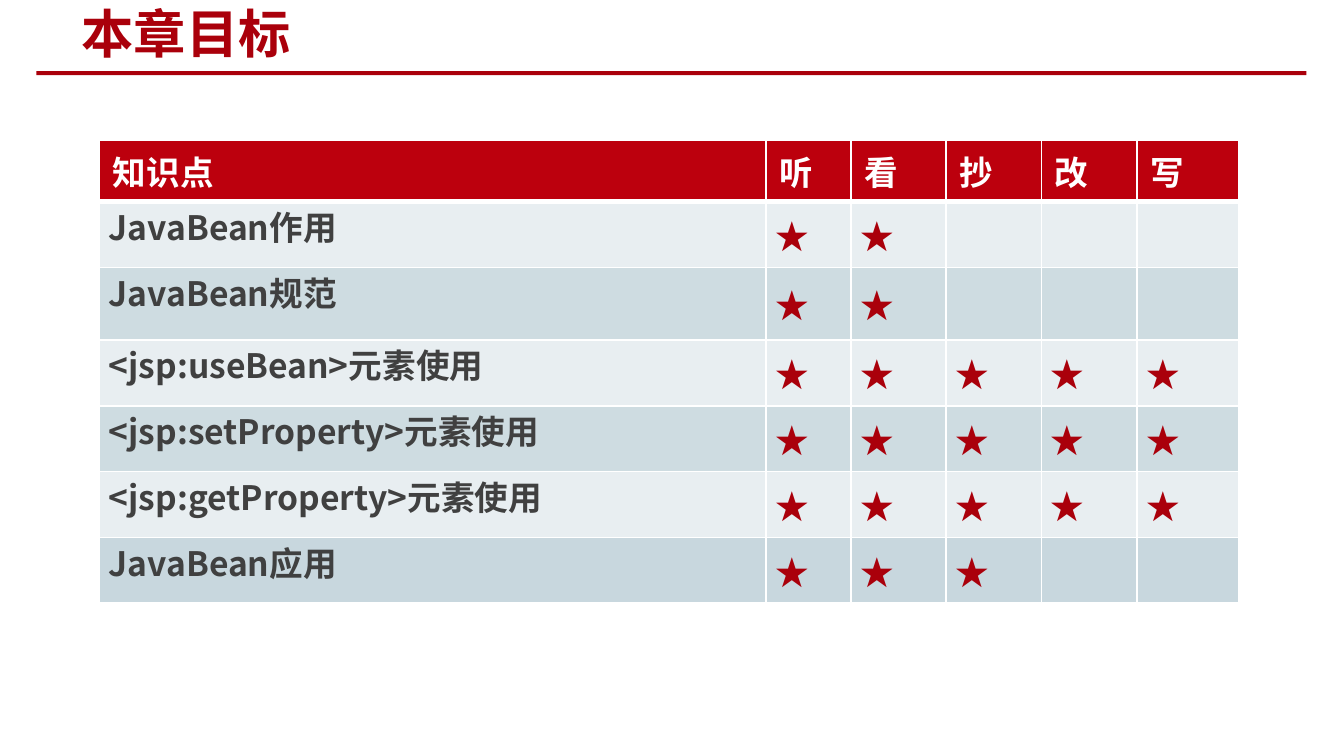
"""Build the chapter goals slide with its table of knowledge points."""
from typing import NamedTuple

from lxml.etree import SubElement
from pptx import Presentation
from pptx.dml.color import RGBColor
from pptx.enum.shapes import MSO_SHAPE
from pptx.enum.text import MSO_ANCHOR
from pptx.oxml.ns import qn
from pptx.util import Inches, Pt

SLIDE_WIDTH = 10
FONT = "Noto Sans CJK SC"
RED = "AA000B"
HEADER_RED = "BC000D"
WHITE = "FFFFFF"
DARK = "404040"
PALE = "E8EEF1"
MID = "CEDCE1"
LAST = "C8D7DE"
SKILLS = ["听", "看", "抄", "改", "写"]
COLUMN_WIDTHS = [4.96, 0.63, 0.71, 0.71, 0.71, 0.76]
HEADER_HEIGHT = 0.46
HEADER_FORMAT = {
    "margin_left": Inches(0.1),
    "margin_right": Inches(0.1),
    "margin_top": Inches(0.05),
    "margin_bottom": Inches(0.05),
}
TOPIC_FORMAT = {
    "margin_left": Inches(0.07),
    "margin_right": Inches(0.07),
    "margin_top": 0,
    "margin_bottom": 0,
}
STAR_FORMAT = {**TOPIC_FORMAT, "vertical_anchor": MSO_ANCHOR.MIDDLE}


class Topic(NamedTuple):
    title: str
    stars: int
    background: str
    height: float = 0.49


TOPICS = [
    Topic("JavaBean作用", 2, PALE),
    Topic("JavaBean规范", 2, MID, 0.54),
    Topic("<jsp:useBean>元素使用", 5, PALE),
    Topic("<jsp:setProperty>元素使用", 5, MID),
    Topic("<jsp:getProperty>元素使用", 5, PALE),
    Topic("JavaBean应用", 3, LAST),
]


def paint(color_format, color: str) -> None:
    color_format.rgb = RGBColor.from_string(color)


def fill_solid(fill, color: str) -> None:
    fill.solid()
    paint(fill.fore_color, color)


def apply_format(target, values: dict) -> None:
    for attribute, value in values.items():
        setattr(target, attribute, value)


def write(frame, text: str, size: float, color: str) -> None:
    run = frame.paragraphs[0].add_run()
    run.text = text
    apply_format(run.font, {"name": FONT, "size": Pt(size), "bold": True})
    paint(run.font.color, color)
    SubElement(run.font._element, qn("a:ea"), typeface=FONT)


def draw_borders(cell, top: float, bottom: float) -> None:
    properties = cell._tc.get_or_add_tcPr()
    for side, width in {"L": 1, "R": 1, "T": top, "B": bottom}.items():
        border = SubElement(properties, qn(f"a:ln{side}"), w=str(Pt(width)))
        solid = SubElement(border, qn("a:solidFill"))
        SubElement(solid, qn("a:srgbClr"), val=WHITE)


def fill_cell(cell, text: str, color: str, background: str, values: dict,
              top: float = 1, bottom: float = 1) -> None:
    draw_borders(cell, top, bottom)
    fill_solid(cell.fill, background)
    apply_format(cell, values)
    if text:
        write(cell.text_frame, text, 18, color)


def add_heading(slide) -> None:
    rule = slide.shapes.add_shape(
        MSO_SHAPE.RECTANGLE, Inches(0.27), Inches(0.53), Inches(9.45), Inches(0.03))
    rule.shadow.inherit = False
    fill_solid(rule.fill, RED)
    rule.line.fill.background()
    heading = slide.shapes.add_textbox(
        Inches(0.51), Inches(0.02), Inches(5.3), Inches(0.45)).text_frame
    apply_format(heading, {"word_wrap": True, "vertical_anchor": MSO_ANCHOR.MIDDLE})
    write(heading, "本章目标", 28, RED)


def add_goals(slide) -> None:
    heights = [HEADER_HEIGHT] + [topic.height for topic in TOPICS]
    goals = slide.shapes.add_table(
        len(heights), len(COLUMN_WIDTHS), Inches(0.74), Inches(1.04),
        Inches(sum(COLUMN_WIDTHS)), Inches(sum(heights))).table
    for column, width in zip(goals.columns, COLUMN_WIDTHS):
        column.width = Inches(width)
    for row, height in zip(goals.rows, heights):
        row.height = Inches(height)
    for column, label in enumerate(["知识点"] + SKILLS):
        fill_cell(goals.cell(0, column), label, WHITE, HEADER_RED, HEADER_FORMAT, bottom=3)
    for row, topic in enumerate(TOPICS, start=1):
        top = 3 if row == 1 else 1
        fill_cell(goals.cell(row, 0), topic.title, DARK, topic.background, TOPIC_FORMAT, top)
        for column in range(1, len(COLUMN_WIDTHS)):
            star = "★" if column <= topic.stars else ""
            fill_cell(goals.cell(row, column), star, RED, topic.background, STAR_FORMAT, top)


def main() -> None:
    presentation = Presentation()
    presentation.slide_width = Inches(SLIDE_WIDTH)
    presentation.slide_height = Inches(SLIDE_WIDTH * 9 / 16)
    slide = presentation.slides.add_slide(presentation.slide_layouts[6])
    add_heading(slide)
    add_goals(slide)
    presentation.save("out.pptx")


if __name__ == "__main__":
    main()
